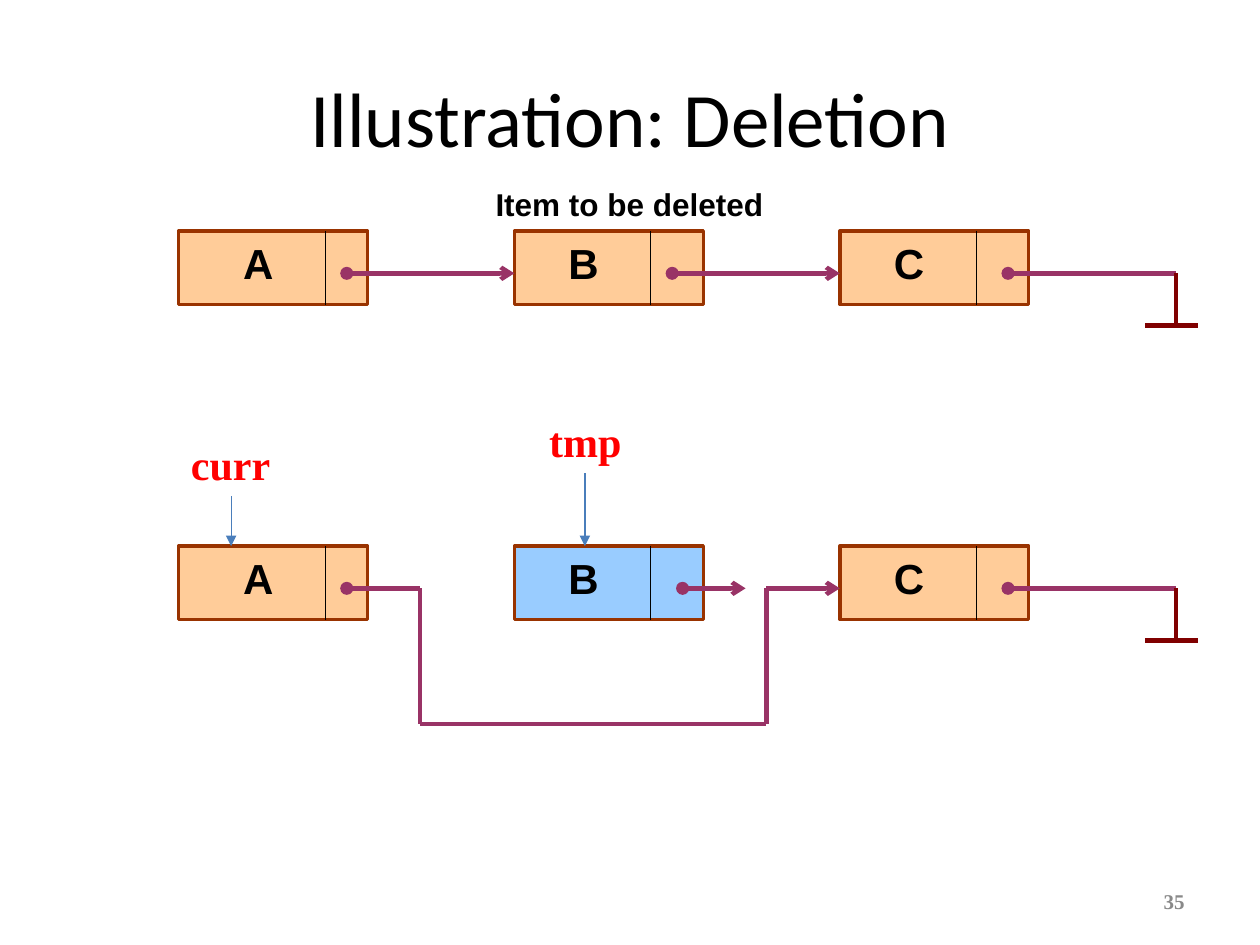
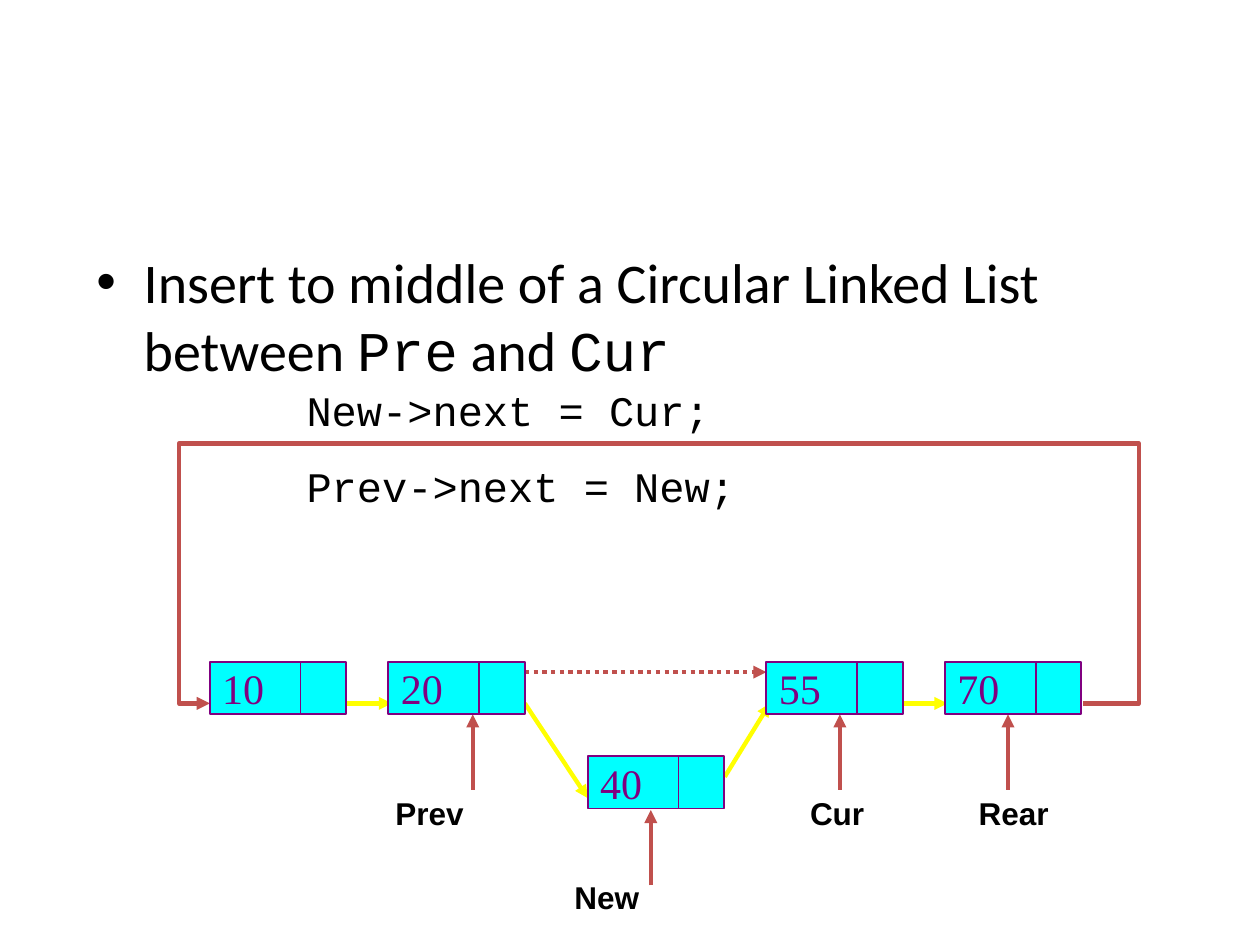
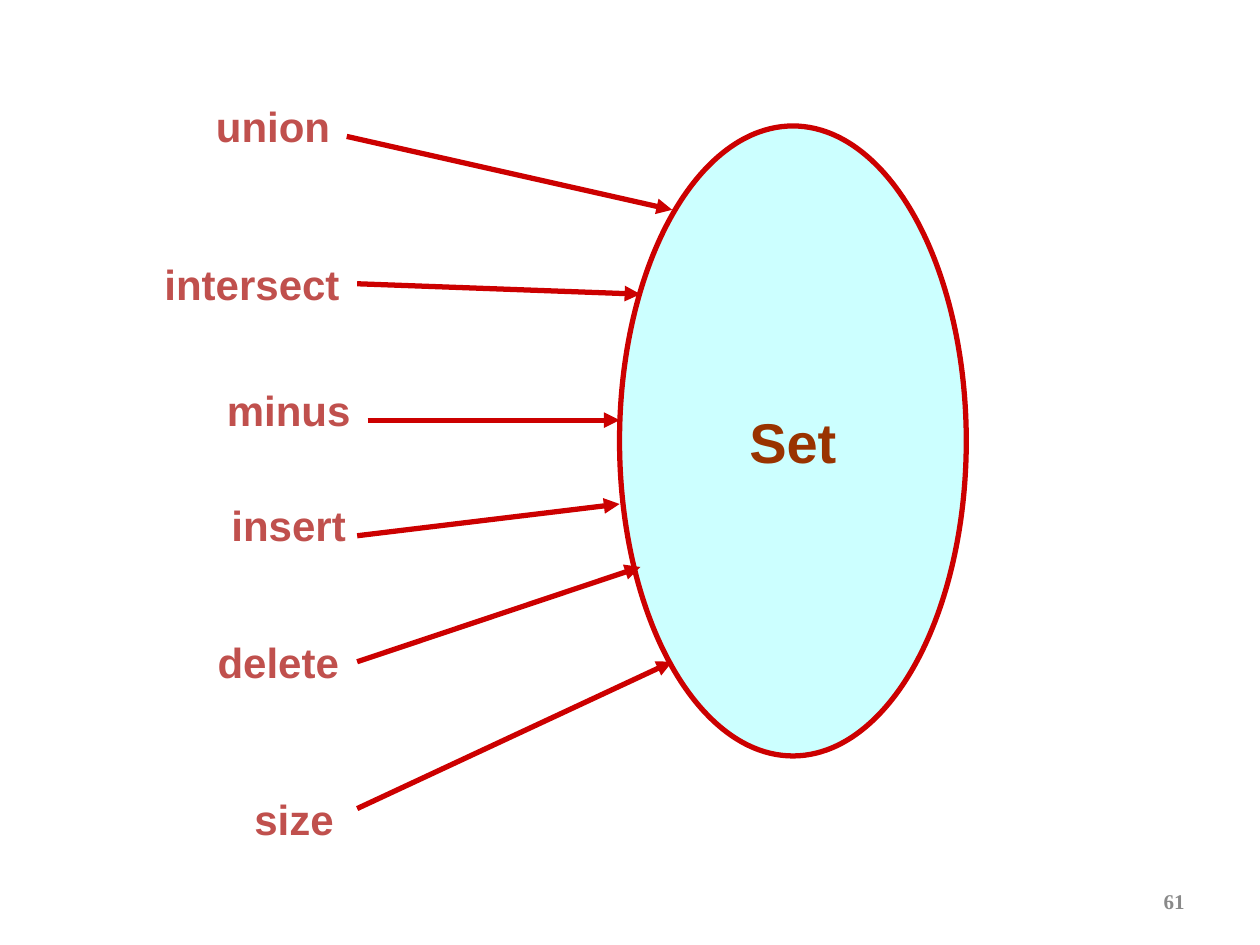
from itertools import pairwise

from lxml.etree import SubElement
from pptx import Presentation
from pptx.dml.color import RGBColor
from pptx.enum.dml import MSO_LINE
from pptx.enum.shapes import MSO_CONNECTOR, MSO_SHAPE
from pptx.enum.text import MSO_ANCHOR, PP_ALIGN
from pptx.oxml.ns import qn
from pptx.util import Cm, Pt

STRAIGHT = MSO_CONNECTOR.STRAIGHT
RECTANGLE, OVAL = MSO_SHAPE.RECTANGLE, MSO_SHAPE.OVAL
LEFT, CENTER, RIGHT = PP_ALIGN.LEFT, PP_ALIGN.CENTER, PP_ALIGN.RIGHT
TOP, MIDDLE = MSO_ANCHOR.TOP, MSO_ANCHOR.MIDDLE
DOTTED = MSO_LINE.ROUND_DOT
TITLE_AND_CONTENT, TITLE_ONLY, BLANK = 1, 5, 6

SANS, SERIF, BODY, CODE = "Arial", "Times New Roman", "Calibri", "Courier New"
BLACK, GRAY, RED = "000000", "898989", "FF0000"
PEACH, SKY, BROWN = "FFCC99", "99CCFF", "993300"
PLUM, MAROON, BLUE = "993366", "800000", "4A7EBB"
CYAN, PURPLE, YELLOW, BRICK = "00FFFF", "800080", "FFFF00", "C0504D"
PALE_CYAN, CRIMSON = "CCFFFF", "CC0000"

# Deletion diagram, in cm
NODE_LEFTS = {"A": 3.6, "B": 10.37, "C": 16.93}
NODE_WIDTH, NODE_HEIGHT = 3.81, 1.48
FIRST_DIVIDER, DIVIDER_PITCH = 6.56, 6.56
WIRE_DROP = 0.85
DOTS = {"A": 6.99, "B": 13.55, "C": 20.32}
GROUND_X = 23.71

# Circular list diagram, in cm
CELL_TOP, CELL_HEIGHT = 13.34, 1.06
DATA_WIDTH, LINK_WIDTH = 1.83, 0.92
LINK_Y = 14.18


def color(hex_string):
    return RGBColor.from_string(hex_string)


def style_font(font, name, size, hex_color, bold=False):
    font.name, font.size, font.bold = name, Pt(size), bold
    font.color.rgb = color(hex_color)


def write(frame, lines, font_style, align=LEFT, anchor=TOP, space=0):
    """Fill a frame with one paragraph a line; space separates them in points."""
    frame.vertical_anchor = anchor
    for index, line in enumerate(lines):
        paragraph = frame.add_paragraph() if index else frame.paragraphs[0]
        paragraph.text = line
        paragraph.alignment = align
        if index:
            paragraph.space_before = Pt(space)
        style_font(paragraph.font, *font_style)


def label(slide, text, left, top, width, font_style, height=1.27, wrap=True, **layout):
    box = slide.shapes.add_textbox(Cm(left), Cm(top), Cm(width), Cm(height))
    box.text_frame.word_wrap = wrap
    write(box.text_frame, text.split("\n"), font_style, **layout)


def filled_shape(slide, kind, left, top, width, height, fill, outline, weight):
    shape = slide.shapes.add_shape(kind, Cm(left), Cm(top), Cm(width), Cm(height))
    shape.shadow.inherit = False
    shape.fill.solid()
    shape.fill.fore_color.rgb = color(fill)
    shape.line.color.rgb = color(outline)
    shape.line.width = Pt(weight)
    return shape


def style_line(shape, hex_color, weight, head=None, tail=None, dash=None):
    shape.line.color.rgb = color(hex_color)
    shape.line.width = Pt(weight)
    if dash:
        shape.line.dash_style = dash
    outline = shape.element.spPr.find(qn("a:ln"))
    for tag, end in (("a:headEnd", head), ("a:tailEnd", tail)):
        if end:
            SubElement(outline, qn(tag), type=end)


def line(slide, start, end, hex_color, weight=2.5, **ends):
    connector = slide.shapes.add_connector(STRAIGHT, *map(Cm, start + end))
    style_line(connector, hex_color, weight, **ends)
    SubElement(connector.element.spPr, qn("a:effectLst"))


def page_number(slide, number):
    label(slide, number, 18.21, 17.65, 5.92, (SERIF, 12, GRAY, True),
          height=1.02, align=RIGHT, anchor=MIDDLE)


def list_node(slide, name, top, fill=PEACH):
    divider = FIRST_DIVIDER + DIVIDER_PITCH * list(NODE_LEFTS).index(name)
    filled_shape(slide, RECTANGLE, NODE_LEFTS[name], top, NODE_WIDTH, NODE_HEIGHT,
                 fill, BROWN, 2)
    line(slide, (divider, top), (divider, top + NODE_HEIGHT), BLACK, 0.75)
    label(slide, name, divider - 1.91, top, 1.69, (SANS, 24, BLACK, True))


def null_link(slide, top):
    """Draw the last node's link, ending in a ground symbol."""
    wire_y, ground_y = top + WIRE_DROP, top + 1.9
    line(slide, (DOTS["C"], wire_y), (GROUND_X, wire_y), PLUM, head="oval")
    line(slide, (GROUND_X, wire_y), (GROUND_X, ground_y), MAROON)
    line(slide, (23.09, ground_y), (24.16, ground_y), MAROON)


def named_pointer(slide, name, left, top, width, x, node_top):
    label(slide, name, left, top, width, (SERIF, 24, RED, True), wrap=False)
    line(slide, (x, top + 1.28), (x, node_top), BLUE, 0.75, tail="triangle")


def list_cell(slide, value, left, top=CELL_TOP):
    data = filled_shape(slide, RECTANGLE, left, top, DATA_WIDTH, CELL_HEIGHT,
                        CYAN, PURPLE, 1)
    write(data.text_frame, [value], (SERIF, 24, PURPLE), anchor=MIDDLE)
    filled_shape(slide, RECTANGLE, left + DATA_WIDTH, top, LINK_WIDTH, CELL_HEIGHT,
                 CYAN, PURPLE, 1)


def cell_pointer(slide, name, left, top, x, tip):
    label(slide, name, left, top, 3.18, (SANS, 18, BLACK, True), height=1.02)
    line(slide, (x, tip + 1.52), (x, tip), BRICK, tail="triangle")


def wrap_around_link(slide, points):
    start, *rest = [tuple(map(Cm, point)) for point in points]
    builder = slide.shapes.build_freeform(*start)
    builder.add_line_segments(rest, close=False)
    loop = builder.convert_to_shape()
    loop.shadow.inherit = False
    loop.fill.background()
    style_line(loop, BRICK, 2.5, tail="triangle")


def place(placeholder, left, top, width, height):
    placeholder.left, placeholder.top = Cm(left), Cm(top)
    placeholder.width, placeholder.height = Cm(width), Cm(height)


def deletion_slide(prs):
    slide = prs.slides.add_slide(prs.slide_layouts[TITLE_ONLY])
    title = slide.shapes.title
    place(title, 1.27, 0.76, 22.86, 3.18)
    write(title.text_frame, ["Illustration: Deletion"], (BODY, 44, BLACK),
          align=CENTER, anchor=MIDDLE)
    page_number(slide, "35")

    before, after = 4.66, 11.01
    for name in NODE_LEFTS:
        list_node(slide, name, before)
        list_node(slide, name, after, SKY if name == "B" else PEACH)
    for top in (before, after):
        null_link(slide, top)

    wire_y = before + WIRE_DROP
    for source, target in pairwise(NODE_LEFTS):
        line(slide, (DOTS[source], wire_y), (NODE_LEFTS[target], wire_y), PLUM,
             head="oval", tail="arrow")

    wire_y, detour_y = after + WIRE_DROP, 14.6
    line(slide, (13.76, wire_y), (15.03, wire_y), PLUM, head="oval", tail="arrow")
    bypass = [(DOTS["A"], wire_y), (8.47, wire_y), (8.47, detour_y),
              (15.45, detour_y), (15.45, wire_y), (NODE_LEFTS["C"], wire_y)]
    for start, end in pairwise(bypass):
        line(slide, start, end, PLUM,
             head="oval" if start == bypass[0] else None,
             tail="arrow" if end == bypass[-1] else None)

    label(slide, "Item to be deleted", 9.74, 3.6, 6.99, (SANS, 18, BLACK, True),
          height=1.02)
    named_pointer(slide, "curr", 3.6, 8.72, 2.11, 4.66, after)
    named_pointer(slide, "tmp", 10.82, 8.26, 1.96, 11.79, after)


def circular_list_slide(prs):
    slide = prs.slides.add_slide(prs.slide_layouts[TITLE_AND_CONTENT])
    title = slide.shapes.title.element
    title.getparent().remove(title)
    body = slide.placeholders[1]
    place(body, 1.69, 4.87, 21.8, 12.07)
    sentence = body.text_frame.paragraphs[0]
    sentence.space_before = Pt(0)
    for text, font_name in (
        ("Insert to middle of a Circular Linked List between ", BODY),
        ("Pre", CODE), (" and ", BODY), ("Cur", CODE),
    ):
        run = sentence.add_run()
        run.text = text
        style_font(run.font, font_name, 32, BLACK)

    for start, end in (
        ((6.77, LINK_Y), (7.9, LINK_Y)),
        ((10.58, LINK_Y), (11.85, 16.09)),
        ((14.61, 15.66), (15.52, LINK_Y)),
        ((17.99, LINK_Y), (19.1, LINK_Y)),
    ):
        line(slide, start, end, YELLOW, tail="triangle")
    wrap_around_link(slide, [(21.84, LINK_Y), (22.96, LINK_Y), (22.96, 8.94),
                             (3.61, 8.94), (3.61, LINK_Y), (4.23, LINK_Y)])
    line(slide, (10.58, 13.55), (15.45, 13.55), BRICK, tail="triangle", dash=DOTTED)

    label(slide, "New->next = Cur;\nPrev->next = New;", 5.93, 7.62, 12.7,
          (CODE, 24, BLACK), height=2.82, space=15)

    for name, left, x in (("Prev", 7.72, 9.53), ("Cur", 16.08, 16.93),
                          ("Rear", 19.48, 20.32)):
        cell_pointer(slide, name, left, 15.88, x, 14.4)
    cell_pointer(slide, "New", 11.33, 17.57, 13.12, 16.33)

    for value, left in (("10", 4.23), ("20", 7.83), ("55", 15.45), ("70", 19.05)):
        list_cell(slide, value, left)
    list_cell(slide, "40", 11.85, 15.24)


def set_slide(prs):
    slide = prs.slides.add_slide(prs.slide_layouts[BLANK])
    page_number(slide, "61")
    core = filled_shape(slide, OVAL, 12.49, 2.54, 6.99, 12.7, PALE_CYAN, CRIMSON, 3)
    write(core.text_frame, ["Set"], (SANS, 32, BROWN, True),
          align=CENTER, anchor=MIDDLE)

    operations = (
        ("union", 3.81, 1.91, 3.39, (6.99, 2.75), (13.55, 4.23)),
        ("intersect", 2.75, 5.08, 4.66, (7.2, 5.72), (12.91, 5.93)),
        ("minus", 4.02, 7.62, 3.6, (7.41, 8.47), (12.49, 8.47)),
        ("insert", 4.23, 9.95, 3.18, (7.2, 10.8), (12.49, 10.16)),
        ("delete", 4.02, 12.7, 3.18, (7.2, 13.34), (12.91, 11.43)),
        ("size", 4.66, 15.88, 2.54, (7.2, 16.3), (13.55, 13.34)),
    )
    for name, left, top, width, start, end in operations:
        label(slide, name, left, top, width, (SANS, 24, BRICK, True), align=CENTER)
        line(slide, start, end, CRIMSON, 3, tail="triangle")


def main():
    prs = Presentation()
    prs.slide_width, prs.slide_height = Cm(25.4), Cm(19.05)
    deletion_slide(prs)
    circular_list_slide(prs)
    set_slide(prs)
    prs.save("out.pptx")


if __name__ == "__main__":
    main()
